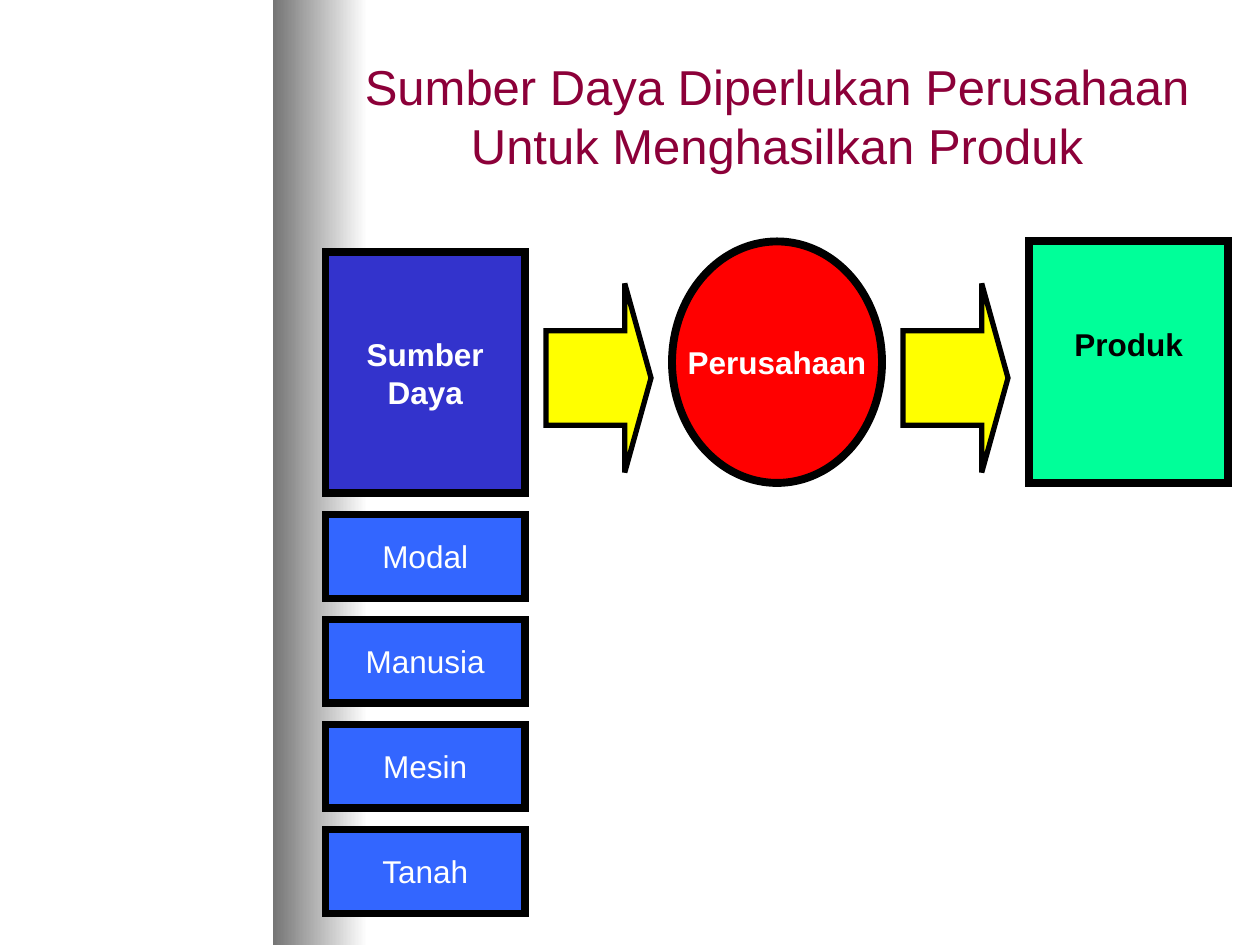
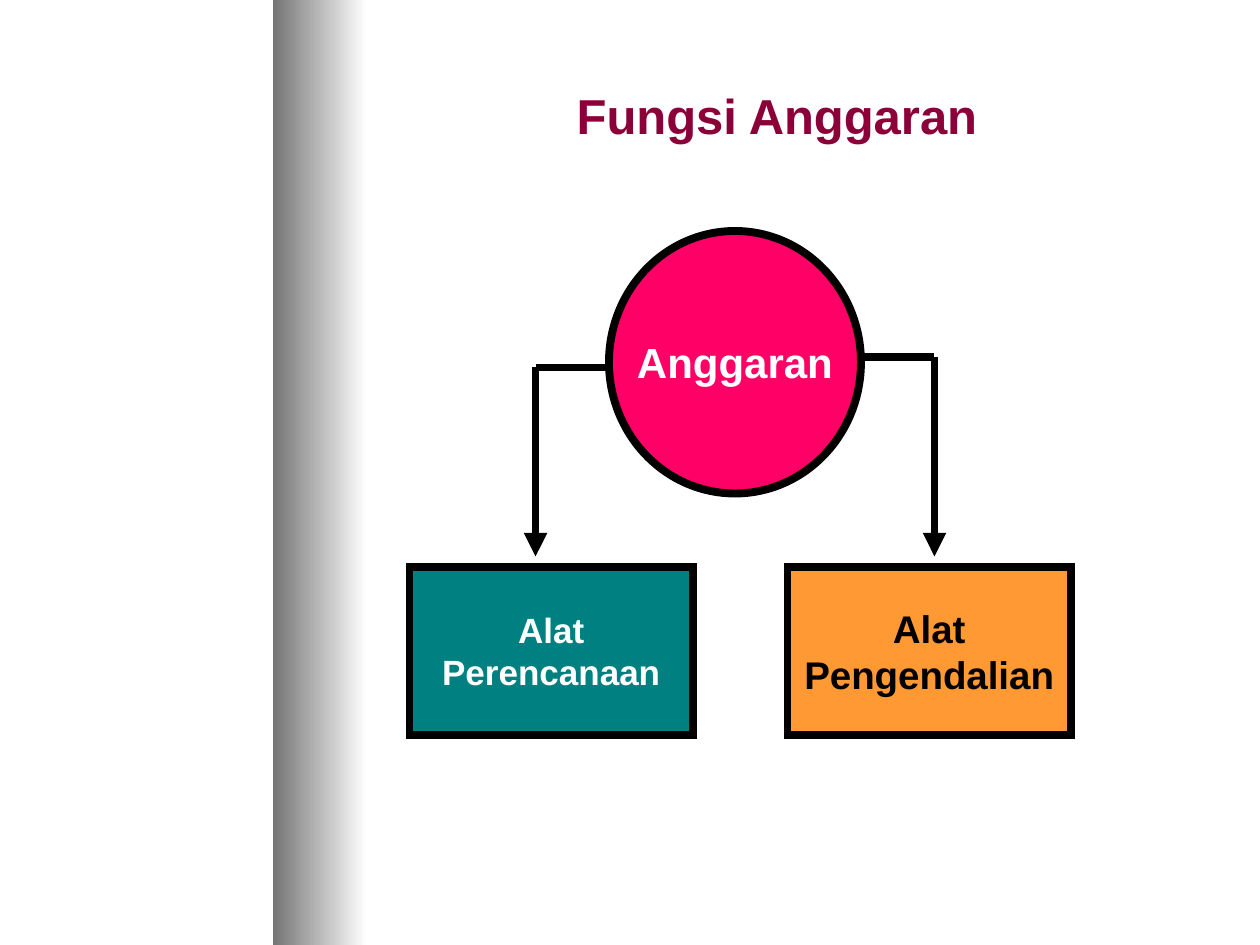
from pptx import Presentation
from pptx.dml.color import RGBColor
from pptx.enum.shapes import MSO_CONNECTOR, MSO_SHAPE
from pptx.enum.text import MSO_ANCHOR, PP_ALIGN
from pptx.oxml.ns import qn
from pptx.util import Pt
from lxml import etree

RECTANGLE, ELLIPSE, ARROW = MSO_SHAPE.RECTANGLE, MSO_SHAPE.OVAL, MSO_SHAPE.RIGHT_ARROW
STRAIGHT = MSO_CONNECTOR.STRAIGHT
MIDDLE, CENTER = MSO_ANCHOR.MIDDLE, PP_ALIGN.CENTER

PX = 9525
FONT = "Arial"
OUTLINE = 4.5
COLORS = {
    "black": "000000", "white": "FFFFFF", "title": "8C0039", "band": "757575",
    "red": "FF0000", "indigo": "3333CC", "blue": "3366FF", "mint": "00FF99",
    "yellow": "FFFF00", "pink": "FF0066", "teal": "008080", "orange": "FF9933",
}

PAGE_SIZE = (960, 720)
BAND = (208, 0, 72, 720)
TITLE = (256, 24, 672, 128)

RESOURCE_TITLE = "Sumber Daya Diperlukan Perusahaan Untuk Menghasilkan Produk"
STAGES = [
    (ELLIPSE, (512, 184, 160, 184), "red", ["Perusahaan"], {}),
    (RECTANGLE, (248, 192, 152, 184), "indigo", ["Sumber", "Daya"], {}),
    (RECTANGLE, (784, 184, 152, 184), "mint", ["Produk"], {"color": "black", "bottom": 33}),
]
RESOURCES = ["Modal", "Manusia", "Mesin", "Tanah"]
RESOURCE_BOX = (248, 392, 152, 64)
RESOURCE_STEP = 80
ARROW_LEFTS = [416, 688]
ARROW_TOP, ARROW_WIDTH, ARROW_HEIGHT = 216, 80, 144

FUNCTION_TITLE = "Fungsi Anggaran"
FUNCTIONS = [
    (ELLIPSE, (464, 176, 192, 200), "pink", ["Anggaran"], {"size": 24}),
    (RECTANGLE, (312, 432, 216, 128), "teal", ["Alat", "Perencanaan"], {"size": 20}),
    (RECTANGLE, (600, 432, 216, 128), "orange", ["Alat", "Pengendalian"],
     {"size": 22, "color": "black", "first_indent": -16}),
]
BRANCHES = [(464, 408, 280), (656, 712, 272)]
BRANCH_END = 424


def rgb(name):
    return RGBColor.from_string(COLORS[name])


def scaled(lengths):
    return [length * PX for length in lengths]


def write(box, lines, size=18, color="white", bold=True, wrap=False, bottom=5, first_indent=0):
    frame = box.text_frame
    frame.word_wrap = wrap
    frame.vertical_anchor = MIDDLE
    frame.margin_bottom = bottom * PX
    for index, line in enumerate(lines):
        para = frame.add_paragraph() if index else frame.paragraphs[0]
        para.alignment = CENTER
        if first_indent and index == 0:
            para._p.get_or_add_pPr().set("indent", str(first_indent * PX))
        span = para.add_run()
        span.text = line
        span.font.name = FONT
        span.font.size = Pt(size)
        span.font.bold = bold
        span.font.color.rgb = rgb(color)


def set_line(item, width=OUTLINE):
    item.line.color.rgb = rgb("black")
    item.line.width = Pt(width)
    etree.SubElement(item.line._get_or_add_ln(), qn("a:miter"), lim="800000")


def add_figure(page, kind, area, fill, lines=(), width=OUTLINE, **text_format):
    figure = page.shapes.add_shape(kind, *scaled(area))
    figure.shadow.inherit = False
    figure.fill.solid()
    figure.fill.fore_color.rgb = rgb(fill)
    set_line(figure, width)
    if lines:
        write(figure, lines, **text_format)
    return figure


def add_line(page, *ends, arrow=False):
    line = page.shapes.add_connector(STRAIGHT, *scaled(ends))
    set_line(line)
    if arrow:
        etree.SubElement(line.line._get_or_add_ln(), qn("a:tailEnd"), type="triangle")
    etree.SubElement(line._element.spPr, qn("a:effectLst"))


def add_page(deck, title, bold):
    page = deck.slides.add_slide(deck.slide_layouts[6])
    band = page.shapes.add_shape(RECTANGLE, *scaled(BAND))
    band.shadow.inherit = False
    band.line.fill.background()
    band.fill.gradient()
    band.fill.gradient_angle = 0
    for stop, color in zip(band.fill.gradient_stops, ("band", "white")):
        stop.color.rgb = rgb(color)
    box = page.shapes.add_textbox(*scaled(TITLE))
    write(box, [title], size=28, color="title", bold=bold, wrap=True)
    return page


def build_resources(deck):
    page = add_page(deck, RESOURCE_TITLE, bold=False)
    for kind, area, fill, lines, text_format in STAGES:
        add_figure(page, kind, area, fill, lines, **text_format)
    left, top, width, height = RESOURCE_BOX
    for index, name in enumerate(RESOURCES):
        area = (left, top + index * RESOURCE_STEP, width, height)
        add_figure(page, RECTANGLE, area, "blue", [name], bold=False)
    for arrow_left in ARROW_LEFTS:
        area = (arrow_left, ARROW_TOP, ARROW_WIDTH, ARROW_HEIGHT)
        arrow = add_figure(page, ARROW, area, "yellow", width=3)
        arrow.adjustments[0] = 0.5
        arrow.adjustments[1] = 0.25


def build_functions(deck):
    page = add_page(deck, FUNCTION_TITLE, bold=True)
    for kind, area, fill, lines, text_format in FUNCTIONS:
        add_figure(page, kind, area, fill, lines, **text_format)
    for start, corner, level in BRANCHES:
        add_line(page, start, level, corner, level)
        add_line(page, corner, level, corner, BRANCH_END, arrow=True)


def main():
    deck = Presentation()
    deck.slide_width, deck.slide_height = scaled(PAGE_SIZE)
    build_resources(deck)
    build_functions(deck)
    deck.save("out.pptx")


if __name__ == "__main__":
    main()
